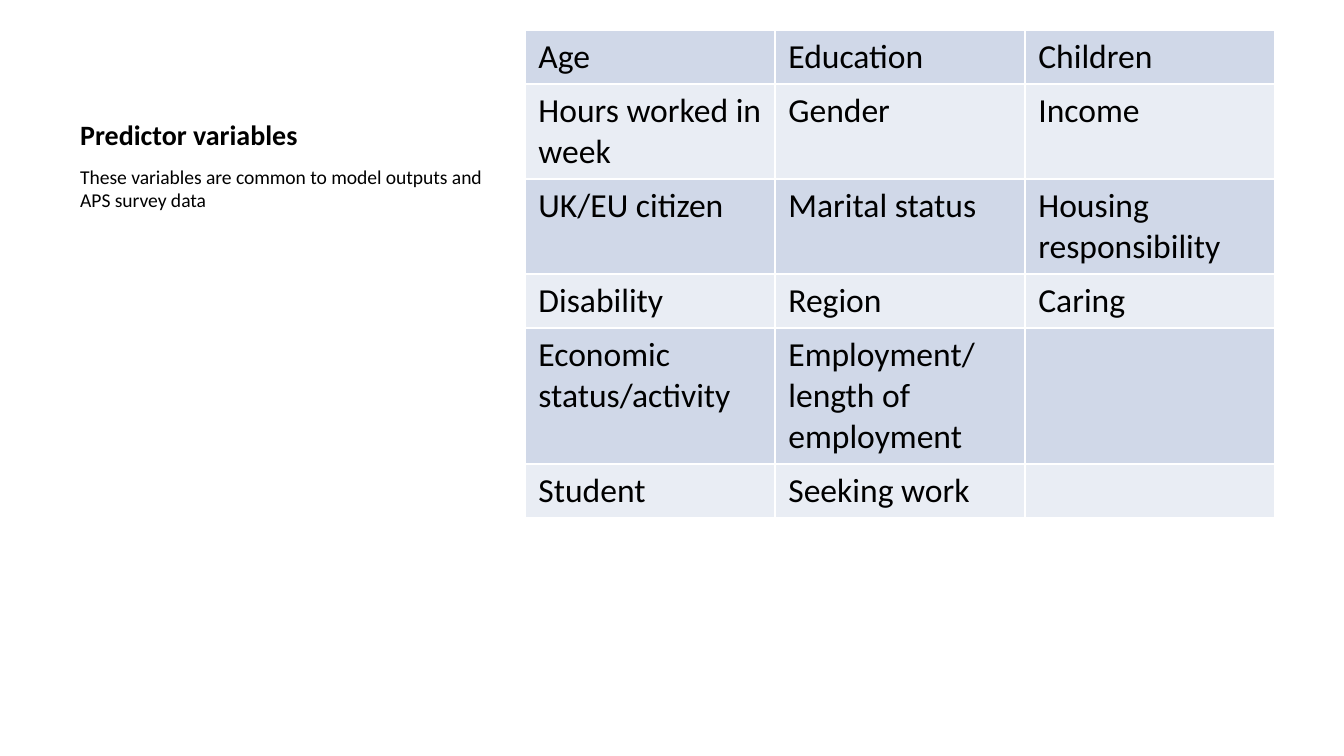
import pptx
import pptx.dml.color
import pptx.enum.text
import pptx.oxml.ns
import pptx.util
from lxml import etree

PIXEL = 914400 / 134.4
BLACK = pptx.dml.color.RGBColor(0x00, 0x00, 0x00)
WHITE = pptx.dml.color.RGBColor(0xFF, 0xFF, 0xFF)
BANDS = (
    pptx.dml.color.RGBColor(0xD0, 0xD8, 0xE8),
    pptx.dml.color.RGBColor(0xE9, 0xED, 0xF4),
)
FONT = "Calibri"
FIRST_LINE, NEXT_LINE = 54, 41
COLUMN_WIDTH = 250
VARIABLES = (
    (1, ("Age", "Education", "Children")),
    (2, ("Hours worked in week", "Gender", "Income")),
    (2, ("UK/EU citizen", "Marital status", "Housing responsibility")),
    (1, ("Disability", "Region", "Caring")),
    (3, ("Economic status/activity", "Employment/length of employment", "")),
    (1, ("Student", "Seeking work", "")),
)


def px(length):
    """Turn picture pixels into EMU."""
    return pptx.util.Emu(round(length * PIXEL))


def write(frame, words, size, bold=False):
    """Put one styled paragraph in a text frame."""
    frame.text = words
    paragraph = frame.paragraphs[0]
    for font in [paragraph.font] + [run.font for run in paragraph.runs]:
        font.name = FONT
        font.size = pptx.util.Pt(size)
        font.bold = bold
        font.color.rgb = BLACK


def add_text(slide, box, words, size, anchor, bold=False):
    """Add a wrapped text box."""
    frame = slide.shapes.add_textbox(*map(px, box)).text_frame
    frame.word_wrap = True
    frame.vertical_anchor = anchor
    write(frame, words, size, bold)


def add_borders(cell):
    """Draw thin white lines on all sides of a cell."""
    properties = cell._tc.get_or_add_tcPr()
    for position, side in enumerate(("lnL", "lnR", "lnT", "lnB")):
        line = etree.Element(pptx.oxml.ns.qn("a:" + side), w=str(pptx.util.Pt(1)))
        fill = etree.SubElement(line, pptx.oxml.ns.qn("a:solidFill"))
        etree.SubElement(fill, pptx.oxml.ns.qn("a:srgbClr"), val=str(WHITE))
        properties.insert(position, line)


def add_variable_table(slide, left, top):
    """Add the banded table of predictor variables."""
    heights = [FIRST_LINE + NEXT_LINE * (lines - 1) for lines, _ in VARIABLES]
    columns = len(VARIABLES[0][1])
    box = (left, top, COLUMN_WIDTH * columns, sum(heights))
    table = slide.shapes.add_table(len(VARIABLES), columns, *map(px, box)).table
    table.first_row = False
    table.horz_banding = False
    for column in table.columns:
        column.width = px(COLUMN_WIDTH)
    for index, (_, names) in enumerate(VARIABLES):
        table.rows[index].height = px(heights[index])
        for cell, name in zip(table.rows[index].cells, names):
            write(cell.text_frame, name, 18)
            cell.fill.solid()
            cell.fill.fore_color.rgb = BANDS[index % 2]
            add_borders(cell)


def main():
    """Build and save the predictor variables slide."""
    deck = pptx.Presentation()
    deck.slide_width, deck.slide_height = px(1344), px(756)
    slide = deck.slides.add_slide(deck.slide_layouts[6])
    anchors = pptx.enum.text.MSO_ANCHOR
    add_text(slide, (67, 30, 442, 128), "Predictor variables", 15, anchors.BOTTOM, True)
    add_text(
        slide,
        (67, 158, 442, 517),
        "These variables are common to model outputs and APS survey data",
        10.5,
        anchors.TOP,
    )
    add_variable_table(slide, 525, 30)
    deck.save("out.pptx")


main()
